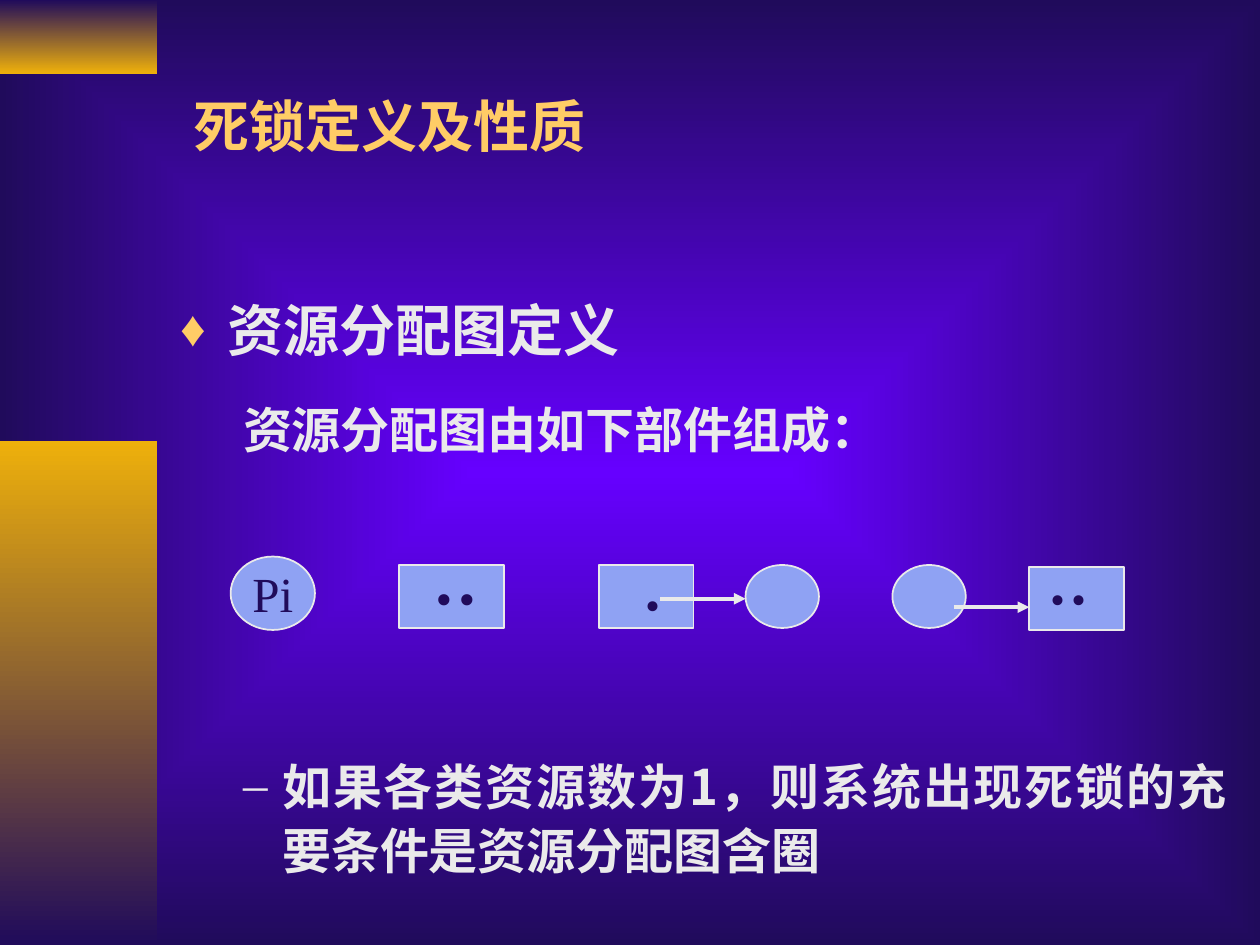
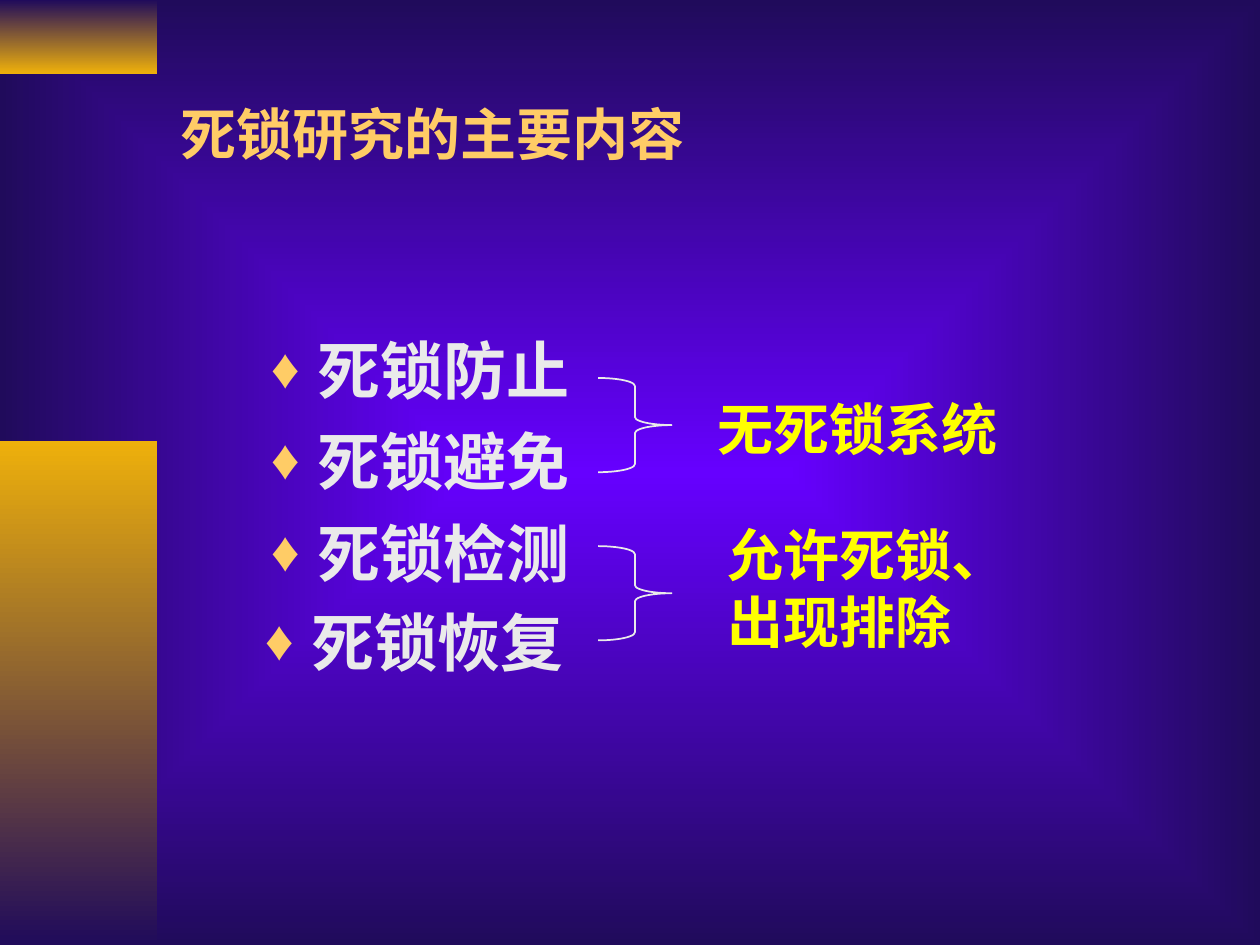
"""Build two slides on deadlock: resource allocation graphs and research topics."""
from dataclasses import dataclass

from lxml import etree
from pptx import Presentation
from pptx.dml.color import RGBColor
from pptx.enum.shapes import MSO_CONNECTOR, MSO_SHAPE
from pptx.enum.text import MSO_ANCHOR, PP_ALIGN
from pptx.oxml.ns import qn
from pptx.util import Cm, Pt

RECT, OVAL, BRACE = MSO_SHAPE.RECTANGLE, MSO_SHAPE.OVAL, MSO_SHAPE.RIGHT_BRACE
STRAIGHT = MSO_CONNECTOR.STRAIGHT
TOP, MIDDLE = MSO_ANCHOR.TOP, MSO_ANCHOR.MIDDLE
LEFT, CENTER, JUSTIFY = PP_ALIGN.LEFT, PP_ALIGN.CENTER, PP_ALIGN.JUSTIFY


@dataclass(frozen=True)
class Theme:
    glow: str = "6600FF"
    night: str = "200B5B"
    amber: str = "EEB00B"
    gold: str = "FFCC66"
    pale: str = "EAEAEA"
    node: str = "8FA2F3"
    yellow: str = "FFFF00"
    sans: str = "Noto Sans CJK SC"
    serif: str = "Times New Roman"
    heading: int = 32
    topic: int = 36
    detail: int = 28
    dot: int = 48
    dots: int = 54


T = Theme()

BANDS = [
    ((0, 0, 3.17, 1.48), (T.night, T.amber)),
    ((0, 8.89, 3.17, 10.16), (T.amber, T.night)),
]

GRAPH_TITLE = ("死锁定义及性质", 3.66, 0.84)
HEADING = dict(text="资源分配图定义", size=T.heading, margin=0.95, indent=-0.95,
               bullet="♦", bullet_color=T.gold, bullet_pct=90)
DETAIL = dict(size=T.detail, margin=2.06, indent=-0.79, align=JUSTIFY, spacing=1.1)
INTRO = dict(DETAIL, text="资源分配图由如下部件组成：", before=17.5)
CONCLUSION = dict(DETAIL, text="如果各类资源数为1，则系统出现死锁的充要条件是资源分配图含圈",
                  bullet="–", bullet_color=T.pale)
NODES = [
    (OVAL, (4.65, 11.22, 1.7, 1.48), "Pi"),
    (RECT, (8.05, 11.39, 2.11, 1.27), ""),
    (RECT, (12.07, 11.39, 1.91, 1.27), ""),
    (OVAL, (15.03, 11.39, 1.48, 1.27), ""),
    (OVAL, (17.99, 11.39, 1.48, 1.27), ""),
    (RECT, (20.75, 11.43, 1.91, 1.27), ""),
]
ARROWS = [(13.3, 15.03, 12.07), (19.23, 20.75, 12.24)]
DOTS = [
    ("..", T.dots, (8.46, 10.16, 1.46, 2.54)),
    (".", T.dot, (12.7, 10.49, 0.91, 2.29)),
    (".", T.dot, (20.86, 10.36, 0.94, 2.29)),
    (".", T.dot, (21.29, 10.36, 0.94, 2.29)),
]

TOPICS_TITLE = ("死锁研究的主要内容", 3.38, 1.0)
TOPICS = [("死锁防止", 1.09, 0), ("死锁避免", 1.09, 9),
          ("死锁检测", 1.09, 9), ("死锁恢复", 0.97, 8)]
OUTCOMES = [
    (["无死锁系统"], 7.62, (14.21, 7.82, 8, 1.63)),
    (["允许死锁、", "出现排除"], 11.01, (14.42, 10.36, 8, 2.97)),
]


def rgb(color):
    return RGBColor.from_string(color)


def box(values):
    return [Cm(v) for v in values]


def sub(parent, tag, **attrs):
    return etree.SubElement(parent, qn(tag), attrs)


def paint_gradient(fill, colors):
    fill.gradient()
    fill.gradient_angle = 270
    for stop, position, color in zip(fill.gradient_stops, (0, 1), colors):
        stop.position = position
        stop.color.rgb = rgb(color)


def paint_background(master):
    paint_gradient(master.background.fill, (T.glow, T.night))
    grad = master.element.find(".//" + qn("a:gradFill"))
    grad.remove(grad.find(qn("a:lin")))
    route = sub(grad, "a:path", path="rect")
    sub(route, "a:fillToRect", l="50000", t="50000", r="50000", b="50000")


def format_runs(p, size, color, font, bold):
    for r in p.runs:
        r.font.size, r.font.bold, r.font.name = Pt(size), bold, font
        r.font.color.rgb = rgb(color)
        sub(r._r.get_or_add_rPr(), "a:ea", typeface=T.sans)


def write(tf, paras, color=T.pale, font=T.sans, bold=True, wrap=True, anchor=TOP):
    tf.word_wrap, tf.vertical_anchor = wrap, anchor
    for i, para in enumerate(paras):
        p = tf.add_paragraph() if i else tf.paragraphs[0]
        p.text = para["text"]
        p.alignment = para.get("align", LEFT)
        pPr = p._p.get_or_add_pPr()
        if "margin" in para:
            pPr.set("marL", str(Cm(para["margin"])))
            pPr.set("indent", str(Cm(para["indent"])))
        if "bullet" in para:
            sub(sub(pPr, "a:buClr"), "a:srgbClr", val=para["bullet_color"])
            sub(pPr, "a:buSzPct", val=str(para.get("bullet_pct", 100) * 1000))
            sub(pPr, "a:buFont", typeface=T.serif)
            sub(pPr, "a:buChar", char=para["bullet"])
        if para.get("before"):
            p.space_before = Pt(para["before"])
        if "spacing" in para:
            p.line_spacing = para["spacing"]
        format_runs(p, para["size"], color, font, bold)


def add_text(s, at, paras, **style):
    write(s.shapes.add_textbox(*box(at)).text_frame, paras, **style)


def add_outlined(s, kind, at, fill=None):
    sp = s.shapes.add_shape(kind, *box(at))
    sp.shadow.inherit = False
    if fill:
        sp.fill.solid()
        sp.fill.fore_color.rgb = rgb(fill)
    else:
        sp.fill.background()
    sp.line.color.rgb = rgb(T.pale)
    sp.line.width = Pt(1)
    return sp


def add_arrow(s, x1, x2, y):
    c = s.shapes.add_connector(STRAIGHT, *box((x1, y, x2, y)))
    c.line.color.rgb = rgb(T.pale)
    c.line.width = Pt(2.25)
    sub(c.line._get_or_add_ln(), "a:tailEnd", type="triangle")
    sub(c._element.spPr, "a:effectLst")


def add_slide(prs, title, left, top):
    s = prs.slides.add_slide(prs.slide_layouts[6])
    for at, colors in BANDS:
        sp = s.shapes.add_shape(RECT, *box(at))
        sp.shadow.inherit = False
        sp.line.fill.background()
        paint_gradient(sp.fill, colors)
    add_text(s, (left, top, 21.3, 3.35), [dict(text=title, size=T.heading)],
             color=T.gold, anchor=MIDDLE)
    return s


def graph_slide(prs):
    s = add_slide(prs, *GRAPH_TITLE)
    add_text(s, (3.38, 5.84, 21.59, 3.6), [HEADING, INTRO])
    add_text(s, (3.38, 15, 21.59, 3.6), [CONCLUSION])
    for kind, at, label in NODES:
        sp = add_outlined(s, kind, at, T.node)
        if label:
            write(sp.text_frame, [dict(text=label, size=T.detail, align=CENTER)],
                  color=T.night, font=T.serif, bold=False, wrap=False, anchor=MIDDLE)
    for arrow in ARROWS:
        add_arrow(s, *arrow)
    for text, size, at in DOTS:
        add_text(s, at, [dict(text=text, size=size)],
                 color=T.night, font=T.serif, bold=False, wrap=False)


def topics_slide(prs):
    s = add_slide(prs, *TOPICS_TITLE)
    add_text(s, (5.07, 6.56, 7, 8), [
        dict(HEADING, text=text, size=T.topic, margin=margin, before=before)
        for text, margin, before in TOPICS])
    for lines, brace_top, at in OUTCOMES:
        sp = add_outlined(s, BRACE, (12.06, brace_top, 1.48, 1.9))
        sp.adjustments[0] = 0.11
        add_text(s, at, [dict(text=line, size=T.heading) for line in lines],
                 color=T.yellow, font=T.serif)


def main():
    prs = Presentation()
    prs.slide_width, prs.slide_height = Cm(25.4), Cm(19.05)
    paint_background(prs.slide_master)
    graph_slide(prs)
    topics_slide(prs)
    prs.save("out.pptx")


if __name__ == "__main__":
    main()
